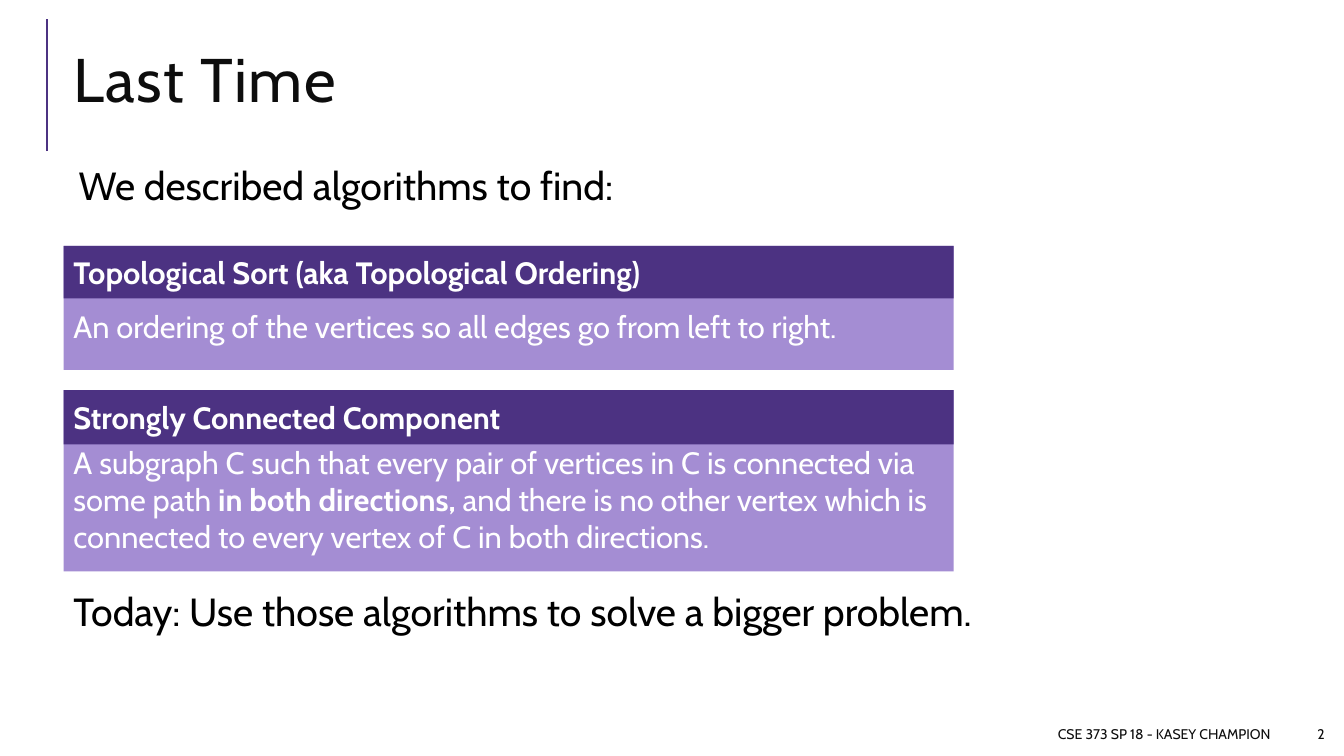
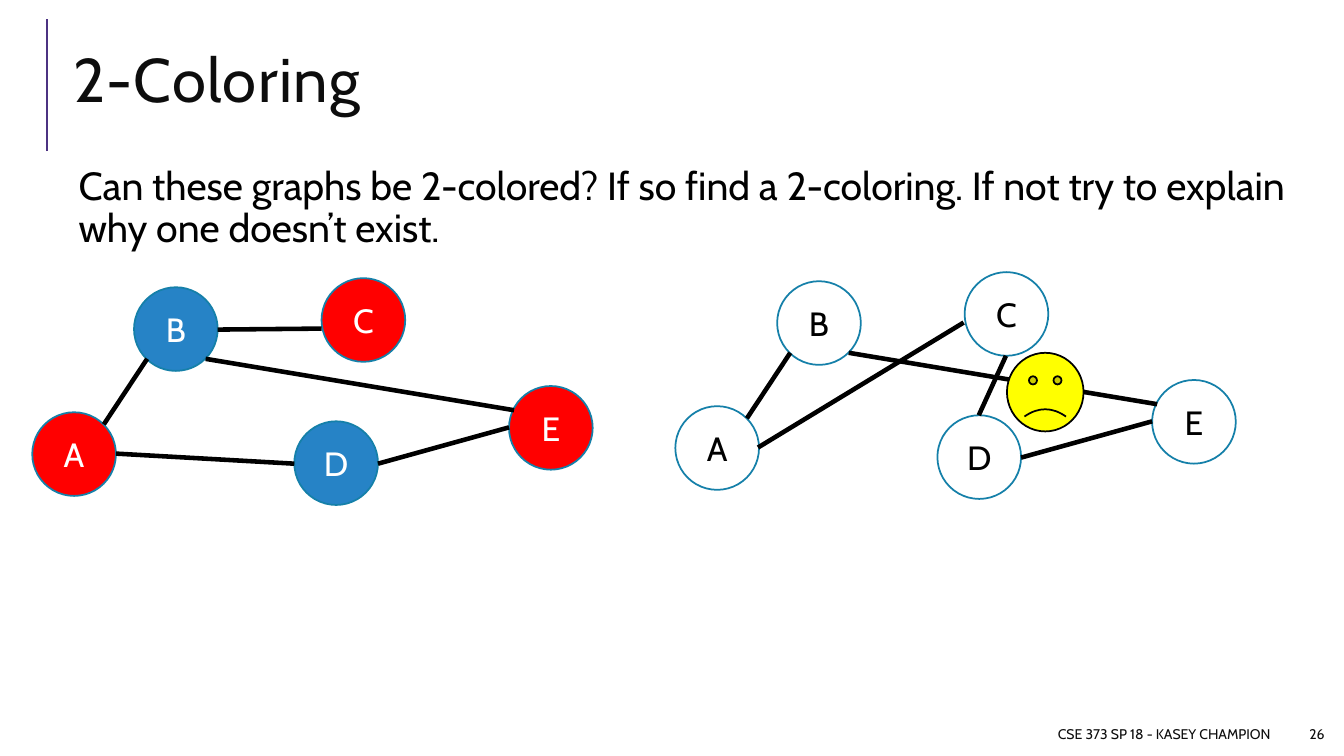
"""Build two lecture slides: a recap of definitions and a 2-coloring exercise."""
import pptx
import pptx.dml.color
import pptx.enum.shapes
import pptx.enum.text
import pptx.oxml.ns
import pptx.util
from lxml import etree

SHAPE = pptx.enum.shapes.MSO_SHAPE
ALIGN = pptx.enum.text.PP_ALIGN
ANCHOR = pptx.enum.text.MSO_ANCHOR
FONT = "Cabin"
COLORS = {
    "ink": "0D0D0D", "black": "000000", "white": "FFFFFF",
    "purple": "4C3282", "lilac": "A48DD3", "outline": "1580A9",
    "blue": "2683C6", "red": "FF0000", "yellow": "FFFF00",
}

deck = pptx.Presentation()
deck.slide_width = pptx.util.Inches(13.33)
deck.slide_height = pptx.util.Inches(7.5)
COL = deck.slide_width / 40
ROW = deck.slide_height / 22.5


def add_block(slide, box, runs=(), size=22, color="white", geometry=None,
              fill=None, outline=None, align=ALIGN.LEFT, anchor=ANCHOR.MIDDLE):
    """Add a text box or a filled shape at left, top, width, height in grid units."""
    place = [int(n * unit) for n, unit in zip(box, (COL, ROW, COL, ROW))]
    if geometry is None:
        block = slide.shapes.add_textbox(*place)
    else:
        block = slide.shapes.add_shape(geometry, *place)
        block.shadow.inherit = False
        block.fill.solid()
        block.fill.fore_color.rgb = pptx.dml.color.RGBColor.from_string(COLORS[fill])
        if outline:
            block.line.color.rgb = pptx.dml.color.RGBColor.from_string(COLORS[outline])
            block.line.width = pptx.util.Pt(1.25)
        else:
            block.line.fill.background()
    block.text_frame.word_wrap = True
    block.text_frame.vertical_anchor = anchor
    paragraph = block.text_frame.paragraphs[0]
    paragraph.alignment = align
    for words, bold in runs:
        run = paragraph.add_run()
        run.text = words
        run.font.name = FONT
        run.font.size = pptx.util.Pt(size)
        run.font.bold = bold
        run.font.color.rgb = pptx.dml.color.RGBColor.from_string(COLORS[color])
    return block


def add_line(slide, start, end, color, width):
    """Draw a straight line between two grid points."""
    ends = [int(n * unit) for n, unit in zip(start + end, (COL, ROW, COL, ROW))]
    line = slide.shapes.add_connector(pptx.enum.shapes.MSO_CONNECTOR.STRAIGHT, *ends)
    line.line.color.rgb = pptx.dml.color.RGBColor.from_string(COLORS[color])
    line.line.width = pptx.util.Pt(width)
    etree.SubElement(line._element.spPr, pptx.oxml.ns.qn("a:effectLst"))


LEFT, WIDTH = 1.89, 36.69
pages = [
    ("Last Time", "We described algorithms to find:", "2"),
    ("2-Coloring", "Can these graphs be 2-colored? If so find a 2-coloring. "
                   "If not try to explain why one doesn’t exist.", "26"),
]
slides = []
for heading, lead, number in pages:
    slide = deck.slides.add_slide(deck.slide_layouts[6])
    slides.append(slide)
    add_line(slide, (1.41, 4.5), (1.41, 0.57), "purple", 1.5)

    title = add_block(slide, (LEFT, 0.87, WIDTH, 3.33), [(heading, False)], 44, "ink")
    title_line = title.text_frame.paragraphs[0]
    title_line.line_spacing = 0.8
    title_line.runs[0].font._element.set("spc", "100")

    intro = add_block(slide, (LEFT, 4.8, WIDTH, 2.88), [(lead, False)], 28, "black",
                      anchor=ANCHOR.TOP)
    intro.text_frame.margin_left = pptx.util.Inches(0.15)
    intro.text_frame.margin_right = pptx.util.Inches(0.05)
    intro_line = intro.text_frame.paragraphs[0]
    intro_line.line_spacing = 0.9
    intro_line.space_before = pptx.util.Pt(12)
    intro_line.space_after = pptx.util.Pt(2)

    for left, width, words in [(18.75, 19.35, "CSE 373 SP 18 - KASEY CHAMPION"),
                               (38.34, 1.38, number)]:
        add_block(slide, (left, 21.39, width, 0.9), [(words, False)], 10, "ink",
                  align=ALIGN.RIGHT)

recap, coloring = slides

definitions = [
    (7.32, 3.69, 1.56, "Topological Sort (aka Topological Ordering)",
     [("An ordering of the vertices so all edges go from left to right.", False)]),
    (11.61, 5.4, 1.62, "Strongly Connected Component",
     [("A subgraph C such that every pair of vertices in C is connected via some path ", False),
      ("in both directions, ", True),
      ("and there is no other vertex which is connected to every vertex of C "
       "in both directions.", False)]),
]
for top, height, term_height, term, meaning in definitions:
    card = add_block(recap, (LEFT, top, 26.49, height), meaning,
                     geometry=SHAPE.RECTANGLE, fill="lilac")
    card.text_frame.margin_top = pptx.util.Inches(0.42)
    add_block(recap, (LEFT, top, 26.49, term_height), [(term, True)],
              geometry=SHAPE.RECTANGLE, fill="purple")
add_block(recap, (LEFT, 17.34, 37.14, 1.71),
          [("Today: Use those algorithms to solve a bigger problem.", False)],
          28, "black", anchor=ANCHOR.TOP)

NODE = 2.49
vertices = {"B": (3.99, 8.55), "D": (8.76, 12.54), "E": (15.15, 11.49),
            "A": (0.96, 12.27), "C": (9.57, 8.28)}
shared_edges = [((15.3, 12.21), (6.12, 10.68)),
                ((11.25, 13.8), (15.15, 12.72)),
                ((3.09, 12.63), (4.38, 10.68))]
colorable_edges = [((6.48, 9.81), (9.57, 9.78)), ((3.45, 13.5), (8.76, 13.8))]
odd_cycle_edges = [((3.42, 13.5), (9.54, 9.78)), ((10.8, 10.77), (9.99, 12.54))]
two_coloring = {"A": "red", "B": "blue", "C": "red", "D": "blue", "E": "red"}
uncolored = dict.fromkeys(vertices, "white")

graphs = [
    (0, 0, two_coloring, "white", colorable_edges),
    (19.14, -0.18, uncolored, "black", odd_cycle_edges),
]
for dx, dy, fills, letter_color, own_edges in graphs:
    for letter, (x, y) in vertices.items():
        add_block(coloring, (x + dx, y + dy, NODE, NODE), [(letter, False)], 24,
                  letter_color, SHAPE.OVAL, fills[letter], "outline", ALIGN.CENTER)
    for (x1, y1), (x2, y2) in shared_edges + own_edges:
        add_line(coloring, (x1 + dx, y1 + dy), (x2 + dx, y2 + dy), "black", 3.25)

frown = add_block(coloring, (29.97, 10.5, 2.28, 2.34), geometry=SHAPE.SMILEY_FACE,
                  fill="yellow", outline="black")
frown.adjustments[0] = -0.047

deck.save("out.pptx")
